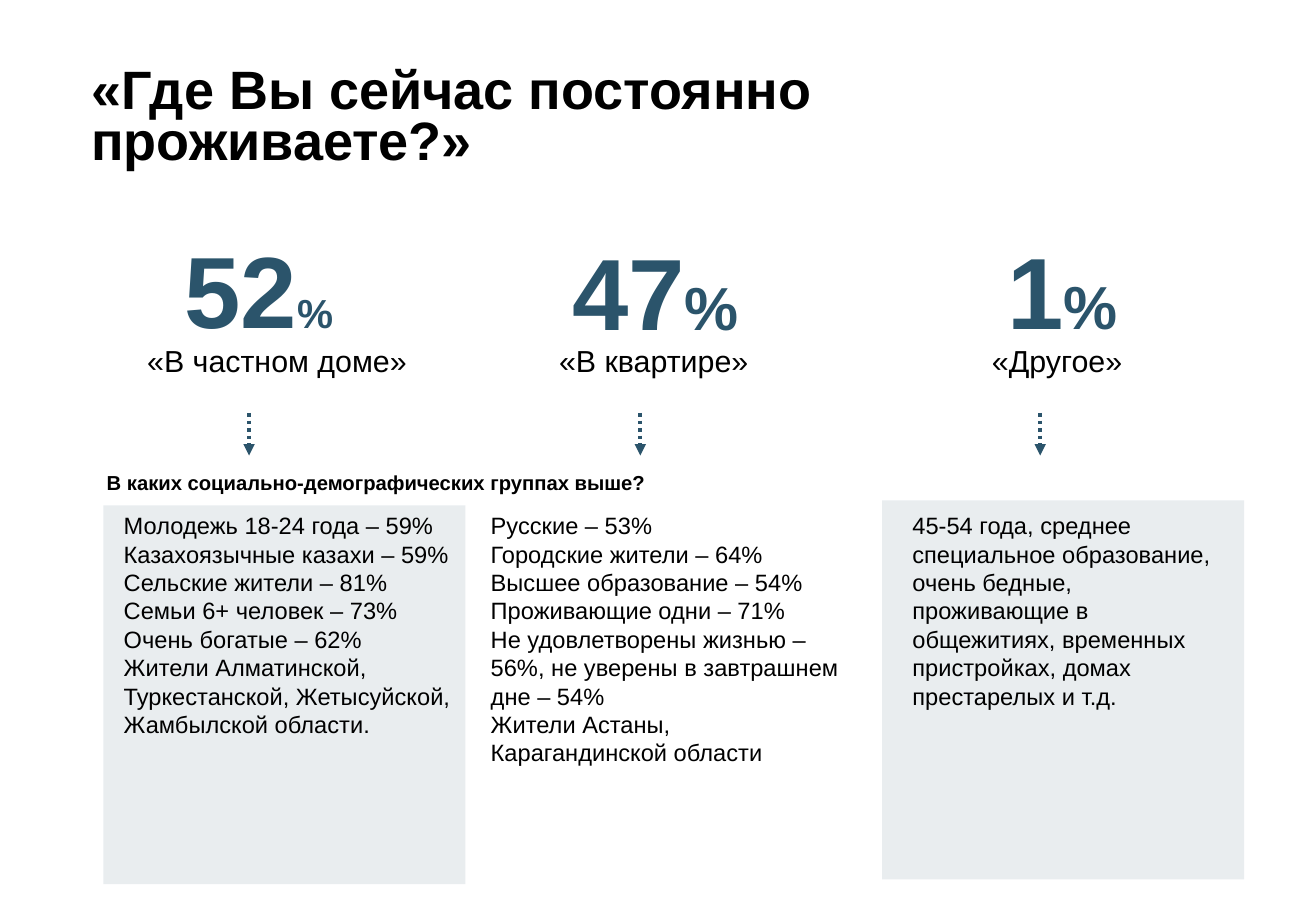
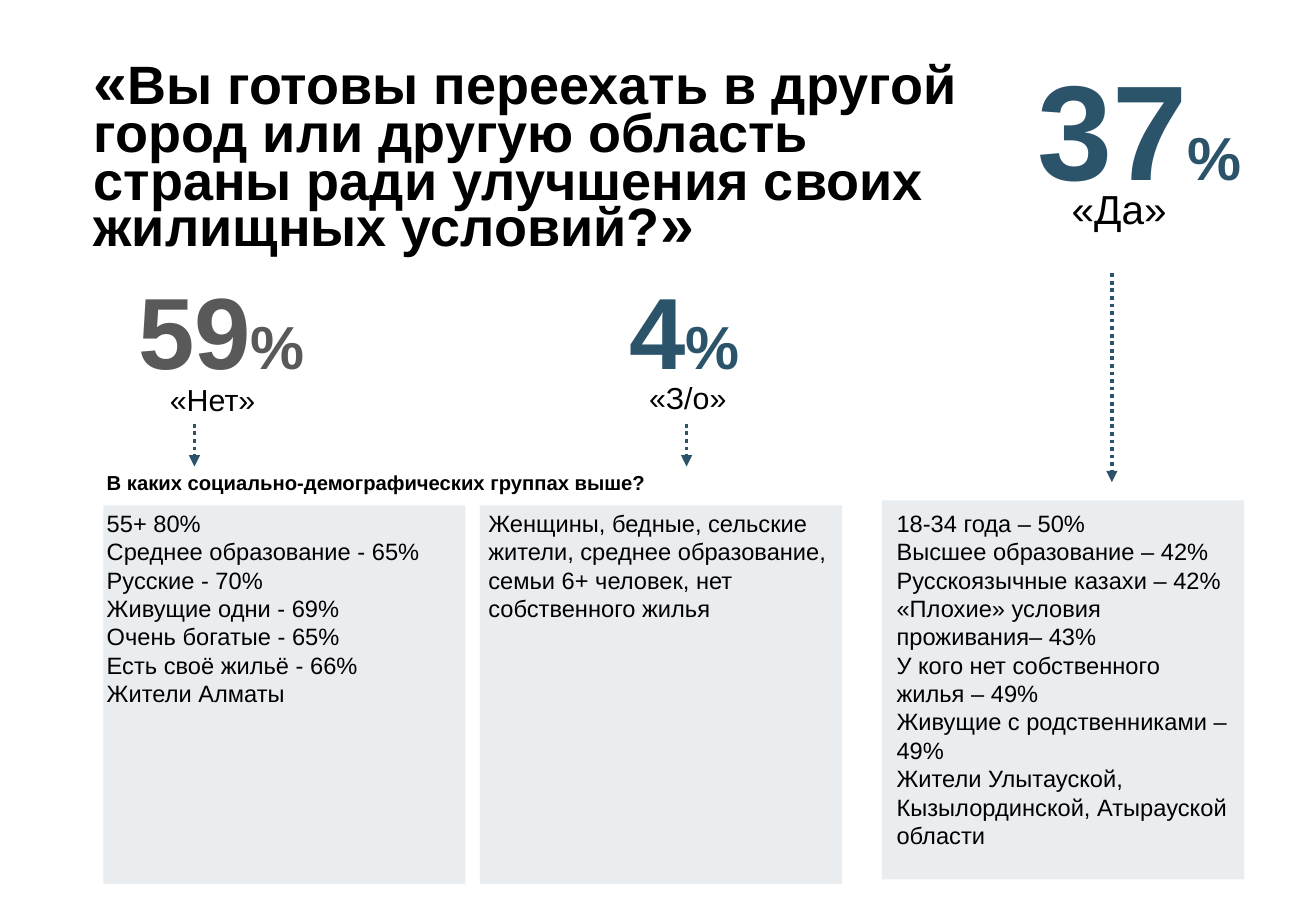
from dataclasses import dataclass

from lxml.etree import SubElement
from pptx import Presentation
from pptx.dml.color import RGBColor
from pptx.enum.dml import MSO_LINE
from pptx.enum.shapes import MSO_CONNECTOR, MSO_SHAPE
from pptx.enum.text import MSO_ANCHOR, MSO_AUTO_SIZE, PP_ALIGN
from pptx.oxml.ns import qn
from pptx.util import Inches, Pt

FONT = "Arial"
COLORS = {"text": "000000", "accent": "2B546B", "muted": "595959"}
PANEL_W, PANEL_H = 2.98, 3.12
STAT_W, STAT_H = 2.39, 0.93
LABEL_W = 2.5
COLUMN_LEFTS = (0.85, 3.95, 7.26)
PANEL_TOPS = (4.16, 4.16, 4.12)
GROUPS_QUESTION = "В каких социально-демографических группах выше?"


@dataclass
class Answer:
    value: str
    label: str
    groups: list
    stat_dx: float
    stat_y: float
    label_dx: float
    label_y: float
    arrow_dx: float
    arrow_y: tuple
    text_dx: float
    text_dy: float
    text_w: float
    value_size: int = 60
    percent_size: int = 36
    label_size: int = 18
    color: str = "accent"
    panel: bool = True


def rgb(name):
    return RGBColor.from_string(COLORS[name])


def style(p, size=None, color="text", bold=False):
    p.font.name = FONT
    p.font.bold = bold
    p.font.color.rgb = rgb(color)
    if size:
        p.font.size = Pt(size)


def add_runs(p, runs):
    for text, size in runs:
        r = p.add_run()
        r.text = text
        r.font.size = Pt(size)


def add_box(s, x, y, w, h, anchor=MSO_ANCHOR.TOP, wrap=True):
    tf = s.shapes.add_textbox(Inches(x), Inches(y), Inches(w), Inches(h)).text_frame
    tf.word_wrap = wrap
    tf.vertical_anchor = anchor
    return tf


def add_title(s, x, y, w, h, runs, spacing, anchor):
    sp = s.shapes.title
    sp.left, sp.top, sp.width, sp.height = (Inches(v) for v in (x, y, w, h))
    tf = sp.text_frame
    tf.auto_size = MSO_AUTO_SIZE.NONE
    tf.word_wrap = True
    tf.vertical_anchor = anchor
    p = tf.paragraphs[0]
    p.alignment = PP_ALIGN.LEFT
    p.line_spacing = Pt(spacing)
    style(p, bold=True)
    add_runs(p, runs)


def add_panel(s, x, y):
    sp = s.shapes.add_shape(MSO_SHAPE.RECTANGLE, Inches(x), Inches(y),
                            Inches(PANEL_W), Inches(PANEL_H))
    sp.shadow.inherit = False
    sp.line.fill.background()
    sp.fill.solid()
    sp.fill.fore_color.rgb = rgb("accent")
    color = sp.fill._xPr.find(qn("a:solidFill"))[0]
    SubElement(color, qn("a:alpha"), val="10000")


def add_arrow(s, x, top, bottom):
    c = s.shapes.add_connector(MSO_CONNECTOR.STRAIGHT, Inches(x), Inches(top),
                               Inches(x), Inches(bottom))
    c.line.color.rgb = rgb("accent")
    c.line.width = Pt(2.25)
    c.line.dash_style = MSO_LINE.ROUND_DOT
    SubElement(c.line._get_or_add_ln(), qn("a:tailEnd"), type="triangle")
    SubElement(c._element.spPr, qn("a:effectLst"))


def add_stat(s, x, a):
    p = add_box(s, x + a.stat_dx, a.stat_y, STAT_W, STAT_H, MSO_ANCHOR.MIDDLE).paragraphs[0]
    p.line_spacing = 0.9
    style(p, color=a.color, bold=True)
    add_runs(p, [(a.value, a.value_size), ("%", a.percent_size)])

    p = add_box(s, x + a.label_dx - LABEL_W / 2, a.label_y, LABEL_W, STAT_H,
                MSO_ANCHOR.MIDDLE).paragraphs[0]
    p.text = a.label
    p.alignment = PP_ALIGN.CENTER
    p.line_spacing = Pt(25)
    style(p, a.label_size)


def add_column(s, x, y, a):
    if a.panel:
        add_panel(s, x, y)
    tf = add_box(s, x + a.text_dx, y + a.text_dy, a.text_w, PANEL_H)
    tf.text = "\n".join(a.groups)
    for p in tf.paragraphs:
        style(p, 14)
    add_stat(s, x, a)
    add_arrow(s, x + a.arrow_dx, *a.arrow_y)


def add_question_slide(prs, title, answers):
    s = prs.slides.add_slide(prs.slide_layouts[5])
    add_title(s, **title)
    for x, y, a in zip(COLUMN_LEFTS, PANEL_TOPS, answers):
        add_column(s, x, y, a)
    p = add_box(s, 0.78, 3.82, 4.68, 0.3, wrap=False).paragraphs[0]
    p.text = GROUPS_QUESTION
    style(p, 12, bold=True)


HOME_TITLE = dict(
    x=0.65, y=0.16, w=6.51, h=1.66, spacing=30, anchor=MSO_ANCHOR.MIDDLE,
    runs=[("«Где Вы сейчас постоянно проживаете?»", 32)])

HOME_ANSWERS = [
    Answer("52", "«В частном доме»",
           ["Молодежь 18-24 года – 59%",
            "Казахоязычные казахи – 59%",
            "Сельские жители – 81%",
            "Семьи 6+ человек – 73%",
            "Очень богатые – 62%",
            "Жители Алматинской, Туркестанской, Жетысуйской, Жамбылской области."],
           stat_dx=0.57, stat_y=1.97, label_dx=1.43, label_y=2.48,
           arrow_dx=1.2, arrow_y=(3.4, 3.75),
           text_dx=0.07, text_dy=0, text_w=3.57, percent_size=24),
    Answer("47", "«В квартире»",
           ["Русские – 53%",
            "Городские жители – 64%",
            "Высшее образование – 54%",
            "Проживающие одни – 71%",
            "Не удовлетворены жизнью – 56%, не уверены в завтрашнем дне – 54%",
            "Жители Астаны, Карагандинской области"],
           stat_dx=0.66, stat_y=1.99, label_dx=1.43, label_y=2.48,
           arrow_dx=1.32, arrow_y=(3.4, 3.75),
           text_dx=-0.01, text_dy=0, text_w=3.16, panel=False),
    Answer("1", "«Другое»",
           ["45-54 года, среднее специальное образование, очень бедные, "
            "проживающие в общежитиях, временных пристройках, домах "
            "престарелых и т.д."],
           stat_dx=0.93, stat_y=1.98, label_dx=1.44, label_y=2.48,
           arrow_dx=1.3, arrow_y=(3.4, 3.75),
           text_dx=0.15, text_dy=0.04, text_w=2.82),
]

MOVE_TITLE = dict(
    x=0.67, y=0.52, w=7.35, h=1.69, spacing=28, anchor=MSO_ANCHOR.TOP,
    runs=[("«", 36),
          ("Вы готовы переехать в другой город или другую область страны "
           "ради улучшения своих жилищных условий?", 32),
          ("»", 36)])

MOVE_ANSWERS = [
    Answer("59", "«Нет»",
           ["55+ 80%",
            "Среднее образование - 65%",
            "Русские - 70%",
            "Живущие одни - 69%",
            "Очень богатые - 65%",
            "Есть своё жильё - 66%",
            "Жители Алматы"],
           stat_dx=0.19, stat_y=2.31, label_dx=0.9, label_y=2.8,
           arrow_dx=0.75, arrow_y=(3.49, 3.84),
           text_dx=-0.07, text_dy=-0.02, text_w=2.88, color="muted"),
    Answer("4", "«З/о»",
           ["Женщины, бедные, сельские жители, среднее образование, "
            "семьи 6+ человек, нет собственного жилья"],
           stat_dx=1.13, stat_y=2.31, label_dx=1.71, label_y=2.78,
           arrow_dx=1.7, arrow_y=(3.49, 3.84),
           text_dx=-0.03, text_dy=-0.02, text_w=2.98),
    Answer("37", "«Да»",
           ["18-34 года – 50%",
            "Высшее образование – 42%",
            "Русскоязычные казахи – 42%",
            "«Плохие» условия проживания– 43%",
            "У кого нет собственного жилья – 49%",
            "Живущие с родственниками – 49%",
            "Жители Улытауской, Кызылординской, Атырауской области"],
           stat_dx=1.18, stat_y=0.66, label_dx=1.95, label_y=1.28,
           arrow_dx=1.89, arrow_y=(2.25, 3.97),
           text_dx=0.02, text_dy=0.02, text_w=2.95,
           value_size=80, label_size=24),
]


def main():
    prs = Presentation()
    prs.slide_width, prs.slide_height = Inches(10.83), Inches(7.5)
    add_question_slide(prs, HOME_TITLE, HOME_ANSWERS)
    add_question_slide(prs, MOVE_TITLE, MOVE_ANSWERS)
    prs.save("out.pptx")


if __name__ == "__main__":
    main()
